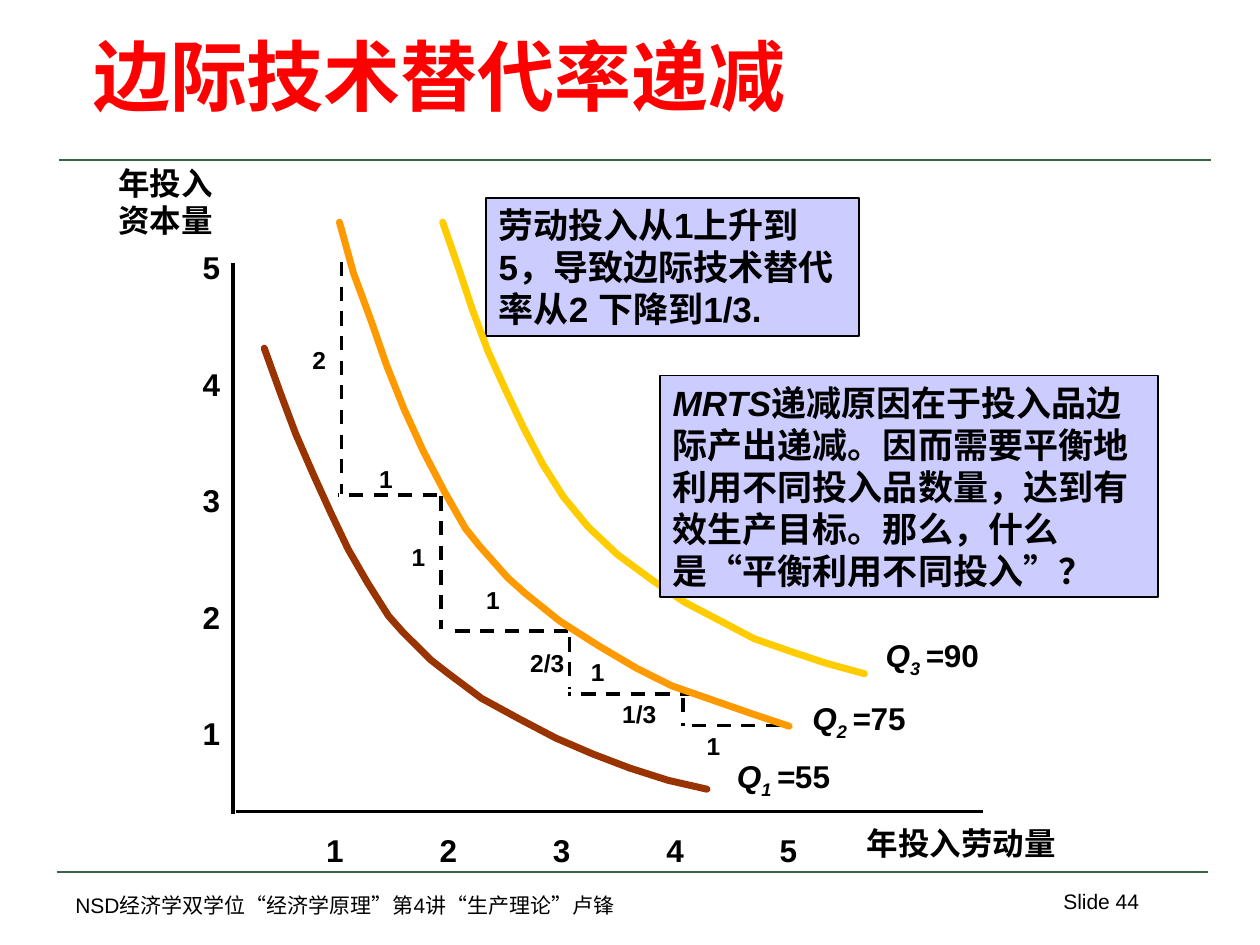
from dataclasses import dataclass

from lxml import etree
from pptx import Presentation
from pptx import util as u
from pptx.dml.color import RGBColor
from pptx.enum import dml, shapes, text
from pptx.oxml.ns import qn


@dataclass(frozen=True)
class Theme:
    """Colours, fonts and sizes of the slide."""
    ink: str = "000000"
    heading: str = "FF0000"
    rule: str = "376546"
    callout: str = "CCCCFF"
    low: str = "993300"
    middle: str = "FF9900"
    high: str = "FFCC00"
    sans: str = "Arial"
    serif: str = "Times New Roman"
    heading_size: float = 44
    callout_size: float = 20
    axis_size: float = 18
    step_size: float = 14
    footer_size: float = 12


THEME = Theme()


@dataclass(frozen=True)
class Span:
    words: str
    italic: bool = False
    subscript: bool = False


@dataclass(frozen=True)
class Label:
    """Text in a box; lengths in points."""
    left: float
    top: float
    width: float
    height: float
    paragraphs: tuple[tuple[Span, ...], ...]
    size: float = THEME.axis_size
    color: str = THEME.ink
    font: str = THEME.sans
    bold: bool = True
    wrap: bool = False
    align: text.PP_ALIGN = text.PP_ALIGN.LEFT
    anchor: text.MSO_ANCHOR = text.MSO_ANCHOR.TOP


@dataclass(frozen=True)
class Stroke:
    x1: float
    y1: float
    x2: float
    y2: float
    color: str = THEME.ink
    width: float = 2
    dashed: bool = False


@dataclass(frozen=True)
class Isoquant:
    index: str
    output: str
    color: str
    label_at: tuple[float, float]
    points: tuple[tuple[float, float], ...]


def plain(*lines: str) -> tuple[tuple[Span, ...], ...]:
    return tuple((Span(line),) for line in lines)


def write(frame, label: Label) -> None:
    frame.word_wrap = label.wrap
    frame.auto_size = text.MSO_AUTO_SIZE.NONE
    frame.vertical_anchor = label.anchor
    frame.text = "\n".join("" for _ in label.paragraphs)
    for paragraph, spans in zip(frame.paragraphs, label.paragraphs):
        paragraph.alignment = label.align
        for span in spans:
            run = paragraph.add_run()
            run.text = span.words
            run.font.name, run.font.size = label.font, u.Pt(label.size)
            run.font.bold, run.font.italic = label.bold, span.italic
            run.font.color.rgb = RGBColor.from_string(label.color)
            if span.subscript:
                run.font._element.set("baseline", "-25000")


def draw_label(slide, label: Label) -> None:
    box = slide.shapes.add_textbox(
        u.Pt(label.left), u.Pt(label.top), u.Pt(label.width), u.Pt(label.height))
    write(box.text_frame, label)


def draw_callout(slide, label: Label) -> None:
    box = slide.shapes.add_shape(
        shapes.MSO_SHAPE.RECTANGLE, u.Pt(label.left), u.Pt(label.top),
        u.Pt(label.width), u.Pt(label.height))
    box.shadow.inherit = False
    box.fill.solid()
    box.fill.fore_color.rgb = RGBColor.from_string(THEME.callout)
    box.line.color.rgb = RGBColor.from_string(THEME.ink)
    box.line.width = u.Pt(1)
    write(box.text_frame, label)


def draw_stroke(slide, stroke: Stroke) -> None:
    line = slide.shapes.add_connector(
        shapes.MSO_CONNECTOR.STRAIGHT, u.Pt(stroke.x1), u.Pt(stroke.y1),
        u.Pt(stroke.x2), u.Pt(stroke.y2))
    line.line.color.rgb = RGBColor.from_string(stroke.color)
    line.line.width = u.Pt(stroke.width)
    if stroke.dashed:
        line.line.dash_style = dml.MSO_LINE.DASH
    etree.SubElement(line._element.spPr, qn("a:effectLst"))


def draw_isoquant(slide, curve: Isoquant) -> None:
    builder = slide.shapes.build_freeform(*curve.points[0], scale=u.Pt(1))
    builder.add_line_segments(curve.points[1:], close=False)
    path = builder.convert_to_shape()
    path.shadow.inherit = False
    path.fill.background()
    path.line.color.rgb = RGBColor.from_string(curve.color)
    path.line.width = u.Pt(4)
    outline = path.line._get_or_add_ln()
    outline.set("cap", "rnd")
    etree.SubElement(outline, qn("a:round"))
    name = (Span("Q", True), Span(curve.index + " ", True, True),
            Span("=", True), Span(curve.output))
    draw_label(slide, Label(*curve.label_at, 67.7, 31.7, (name,)))


# Title, rules and footer
FRAME_RULES = [Stroke(33.8, 91.4, 691.9, 91.4, THEME.rule, 1.5),
               Stroke(32.4, 498.2, 690.5, 498.2, THEME.rule, 1.5)]
FRAME_LABELS = [
    Label(36, 506.2, 453.6, 21.6, plain("NSD经济学双学位“经济学原理”第4讲“生产理论”卢锋"),
          THEME.footer_size, bold=False, wrap=True),
    Label(571.7, 504, 86.4, 36, plain("Slide 44"), THEME.footer_size,
          bold=False, wrap=True, align=text.PP_ALIGN.RIGHT),
    Label(46.1, 13, 628.6, 59.8, plain("边际技术替代率递减"), THEME.heading_size,
          THEME.heading, wrap=True, anchor=text.MSO_ANCHOR.BOTTOM),
]

# Axes, their names and evenly spaced ticks
AXES = [Stroke(133.2, 150.5, 133.2, 465.1), Stroke(134.6, 463.7, 561.6, 463.7)]
AXIS_NAMES = [
    Label(488.2, 467.3, 122.4, 28.8, plain("年投入劳动量"), font=THEME.serif),
    Label(60.5, 90, 68.4, 50.4, plain("年投入", "资本量")),
]
LABOUR_GAP, CAPITAL_GAP = 64.8, 66.6
TICKS = [
    Label(left, top, 24.5, 28.8, plain(str(n + 1)))
    for n in range(5)
    for left, top in ((179.3 + n * LABOUR_GAP, 471.6),
                      (108.7, 404.6 - n * CAPITAL_GAP))
]

# Substitution steps: dashed drops and runs with their lengths
STEPS = [
    Stroke(*ends, dashed=True) for ends in (
        (445.7, 414.7, 393.8, 414.7), (249.8, 283, 193, 283),
        (324.7, 360.7, 257, 360.7), (396.7, 396.7, 324.7, 396.7),
        (195.1, 149.8, 195.1, 282.2), (252, 283.7, 252, 359.3),
        (325.4, 364.3, 325.4, 393.8), (390.2, 398.9, 390.2, 414.7))
]
STEP_LENGTHS = [
    Label(left, top, 22.3 if len(length) == 1 else 33.8, 23.8,
          plain(length), THEME.step_size)
    for length, left, top in (
        ("1", 209.5, 261.4), ("1", 270.7, 330.5), ("1", 330.5, 372.2),
        ("1", 396.7, 414), ("2", 171.4, 193.7), ("1", 228.2, 306),
        ("2/3", 295.9, 366.5), ("1/3", 348.5, 396))
]

# Isoquants
ISOQUANTS = [
    Isoquant("1", "55", THEME.low, (414, 429.1), (
        (151, 199), (160, 224), (169, 248), (179, 271), (189, 293), (199, 314),
        (210, 333), (222, 352), (230, 361), (238, 369), (246, 377), (255, 384),
        (275, 399), (297, 411), (318, 422), (339, 431), (360, 439), (382, 446),
        (404, 451))),
    Isoquant("3", "90", THEME.high, (499, 360), (
        (253, 127), (262, 153), (270, 177), (279, 201), (289, 223), (299, 244),
        (310, 265), (322, 284), (336, 301), (353, 317), (372, 331), (391, 344),
        (412, 355), (431, 365), (451, 372), (472, 379), (494, 385))),
    Isoquant("2", "75", THEME.middle, (457.2, 396), (
        (194, 127), (202, 156), (212, 183), (221, 209), (231, 234), (242, 258),
        (254, 281), (266, 302), (274, 312), (282, 321), (290, 330), (300, 339),
        (320, 355), (342, 369), (364, 382), (374, 387), (384, 392), (407, 400),
        (430, 408), (451, 415))),
]

# Callouts
RATE_CALLOUT = Label(
    277.9, 113, 213.1, 79.2, plain("劳动投入从1上升到5，导致边际技术替代率从2 下降到1/3."),
    THEME.callout_size, wrap=True)
REASON_CALLOUT = Label(
    377.3, 214.6, 284.4, 126.7,
    ((Span("MRTS", True),
      Span("递减原因在于投入品边际产出递减。因而需要平衡地利用不同投入品数量，"
           "达到有效生产目标。那么，什么是“平衡利用不同投入”？")),),
    THEME.callout_size, wrap=True)


def main() -> None:
    deck = Presentation()
    deck.slide_width, deck.slide_height = u.Pt(720), u.Pt(540)
    slide = deck.slides.add_slide(deck.slide_layouts[6])
    for stroke in FRAME_RULES + AXES:
        draw_stroke(slide, stroke)
    for label in FRAME_LABELS + AXIS_NAMES + TICKS:
        draw_label(slide, label)
    draw_callout(slide, RATE_CALLOUT)
    for stroke in STEPS:
        draw_stroke(slide, stroke)
    for label in STEP_LENGTHS:
        draw_label(slide, label)
    for curve in ISOQUANTS:
        draw_isoquant(slide, curve)
    draw_callout(slide, REASON_CALLOUT)
    deck.save("out.pptx")


if __name__ == "__main__":
    main()
